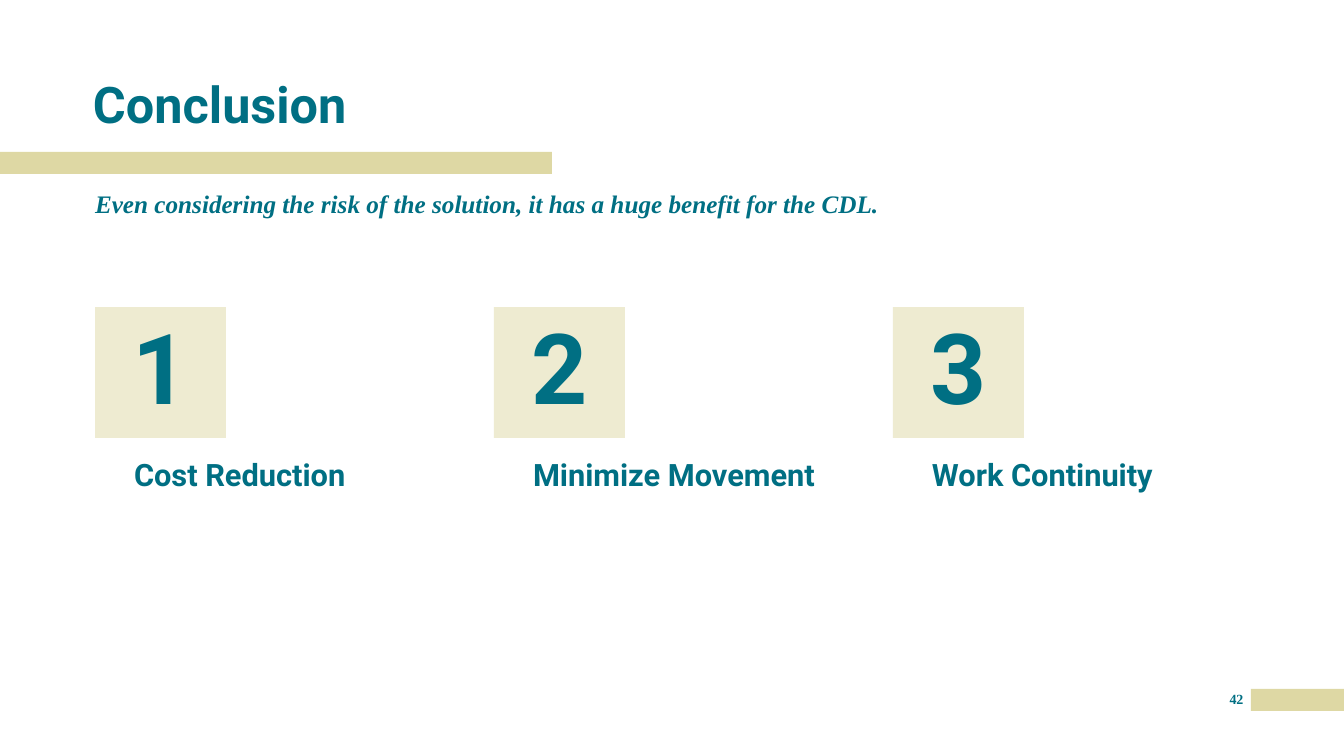
from lxml import etree
from pptx import Presentation
from pptx.dml.color import RGBColor
from pptx.enum.shapes import MSO_SHAPE
from pptx.enum.text import MSO_ANCHOR, PP_ALIGN
from pptx.oxml.ns import qn
from pptx.util import Emu, Pt

RECTANGLE = MSO_SHAPE.RECTANGLE
TOP, MIDDLE, BOTTOM = MSO_ANCHOR.TOP, MSO_ANCHOR.MIDDLE, MSO_ANCHOR.BOTTOM
LEFT, CENTER = PP_ALIGN.LEFT, PP_ALIGN.CENTER

COLORS = {"teal": "006F83", "sand": "DED8A4", "white": "FFFFFF"}
HEADING_FONT = "Roboto"
BODY_FONT = "Times New Roman"
EMU_PER_PX = 914400 / 100.8
SLIDE_WIDTH, SLIDE_HEIGHT = 1344, 756

BENEFITS = ["Cost Reduction", "Minimize Movement", "Work Continuity"]
BENEFIT_LEFT, BENEFIT_STEP = 95, 399
TILE_TOP, TILE_SIZE = 307, 131
LABEL_INDENT, LABEL_TOP = 39, 442


def px(length):
    return Emu(round(length * EMU_PER_PX))


def color(name):
    return RGBColor.from_string(COLORS[name])


def write_text(shape, text, size, font=HEADING_FONT, italic=False, align=LEFT,
               anchor=TOP, line_spacing=0.9, space_before=0):
    frame = shape.text_frame
    frame.word_wrap = True
    frame.vertical_anchor = anchor
    frame.margin_left = frame.margin_right = 0
    frame.margin_top = frame.margin_bottom = 0
    paragraph = frame.paragraphs[0]
    paragraph.alignment = align
    paragraph.line_spacing = line_spacing
    paragraph.space_before = Pt(space_before)
    run = paragraph.add_run()
    run.text = text
    run.font.name = font
    run.font.size = Pt(size)
    run.font.bold = True
    run.font.italic = italic
    run.font.color.rgb = color("teal")


class SlideBuilder:
    """Draws styled elements on the current slide, with lengths in px."""

    def __init__(self, presentation):
        self.slide = presentation.slides.add_slide(presentation.slide_layouts[6])
        background = self.slide.background.fill
        background.solid()
        background.fore_color.rgb = color("white")

    def bar(self, left, top, width, height, opacity=100):
        shape = self.slide.shapes.add_shape(
            RECTANGLE, px(left), px(top), px(width), px(height))
        shape.shadow.inherit = False
        shape.line.fill.background()
        shape.fill.solid()
        shape.fill.fore_color.rgb = color("sand")
        if opacity < 100:
            fill_color = shape.fill._xPr.find(qn("a:solidFill"))[0]
            etree.SubElement(fill_color, qn("a:alpha"), val=str(opacity * 1000))
        return shape

    def text(self, left, top, width, height, text, **text_format):
        box = self.slide.shapes.add_textbox(
            px(left), px(top), px(width), px(height))
        write_text(box, text, **text_format)

    def benefit(self, index, label):
        left = BENEFIT_LEFT + index * BENEFIT_STEP
        tile = self.bar(left, TILE_TOP, TILE_SIZE, TILE_SIZE, opacity=50)
        write_text(tile, str(index + 1), size=70, align=CENTER, anchor=MIDDLE,
                   space_before=10)
        self.text(left + LABEL_INDENT, LABEL_TOP, 323, 51, label, size=22,
                  anchor=BOTTOM, space_before=10)


def main():
    presentation = Presentation()
    presentation.slide_width = px(SLIDE_WIDTH)
    presentation.slide_height = px(SLIDE_HEIGHT)
    builder = SlideBuilder(presentation)

    builder.bar(1251, 689, 93, 22)
    builder.bar(0, 152, 552, 22)
    builder.text(93, 68, 860, 66, "Conclusion", size=36, anchor=BOTTOM)
    builder.text(
        95, 192, 860, 104,
        "Even considering the risk of the solution, it has a huge benefit for the CDL.",
        size=18, font=BODY_FONT, italic=True, space_before=10)
    for index, label in enumerate(BENEFITS):
        builder.benefit(index, label)
    builder.text(1222, 691, 29, 25, "42", size=10, font=BODY_FONT,
                 align=CENTER, line_spacing=1.0)

    presentation.save("out.pptx")


if __name__ == "__main__":
    main()
